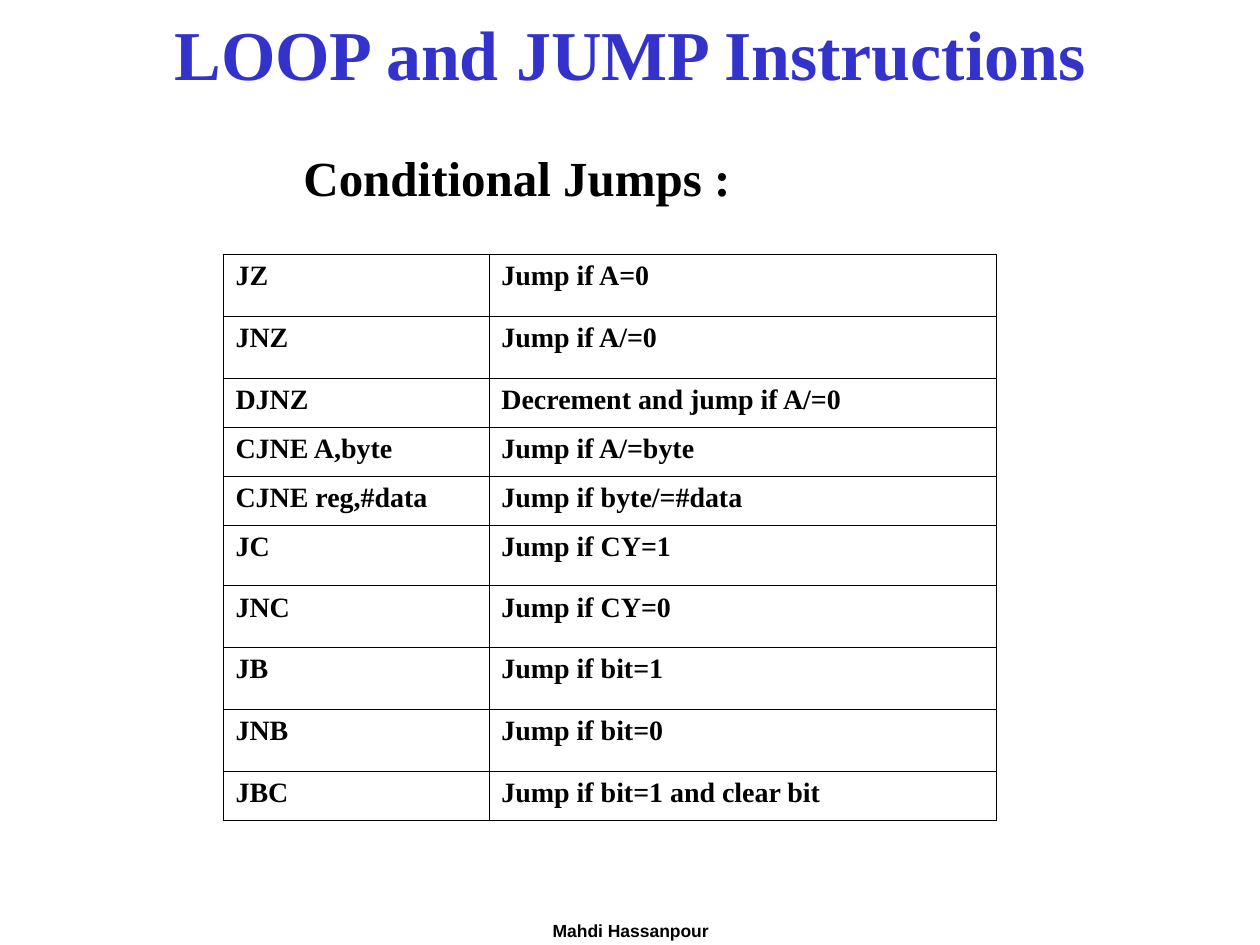
from lxml import etree
from pptx import Presentation
from pptx.dml.color import RGBColor
from pptx.enum.text import MSO_ANCHOR, MSO_AUTO_SIZE, PP_ALIGN
from pptx.oxml.ns import qn
from pptx.util import Inches, Pt

LEFT, CENTER = PP_ALIGN.LEFT, PP_ALIGN.CENTER
TOP, MIDDLE = MSO_ANCHOR.TOP, MSO_ANCHOR.MIDDLE
FIT_SHAPE, NO_FIT = MSO_AUTO_SIZE.SHAPE_TO_FIT_TEXT, MSO_AUTO_SIZE.NONE
BLUE = RGBColor(0x33, 0x33, 0xCC)
BLACK = RGBColor(0, 0, 0)
SERIF, SANS = "Times New Roman", "Arial"
BORDER_WIDTH = Pt(0.45)


def write(frame, text, size, font=SERIF, color=BLACK, align=LEFT):
    paragraph = frame.paragraphs[0]
    paragraph.alignment = align
    run = paragraph.add_run()
    run.text = text
    run.font.name = font
    run.font.size = Pt(size)
    run.font.bold = True
    run.font.color.rgb = color


def add_borders(cell):
    properties = cell._tc.get_or_add_tcPr()
    for position, side in enumerate(("lnL", "lnR", "lnT", "lnB")):
        line = etree.Element(qn(f"a:{side}"), w=str(BORDER_WIDTH))
        fill = etree.SubElement(line, qn("a:solidFill"))
        etree.SubElement(fill, qn("a:srgbClr"), val=str(BLACK))
        properties.insert(position, line)


prs = Presentation()
prs.slide_width, prs.slide_height = Inches(10), Inches(7.5)
slide = prs.slides.add_slide(prs.slide_layouts[5])

# Title
title = slide.shapes.title
title.left, title.top = Inches(0), Inches(0)
title.width, title.height = Inches(10), Inches(0.83)
title.text_frame.vertical_anchor = MIDDLE
title.text_frame.auto_size = NO_FIT
write(title.text_frame, "LOOP and JUMP Instructions", 40, color=BLUE, align=CENTER)

# Table of conditional jumps: instruction, meaning, row height
jumps = [
    ("JZ", "Jump if A=0", 0.49),
    ("JNZ", "Jump if A/=0", 0.49),
    ("DJNZ", "Decrement and jump if A/=0", 0.39),
    ("CJNE A,byte", "Jump if A/=byte", 0.39),
    ("CJNE reg,#data", "Jump if byte/=#data", 0.39),
    ("JC", "Jump if CY=1", 0.48),
    ("JNC", "Jump if CY=0", 0.49),
    ("JB", "Jump if bit=1", 0.49),
    ("JNB", "Jump if bit=0", 0.49),
    ("JBC", "Jump if bit=1 and clear bit", 0.39),
]
jump_table = slide.shapes.add_table(
    len(jumps), 2, Inches(1.77), Inches(2.02), Inches(6.14), Inches(4.51)
).table
jump_table.first_row = False
jump_table.horz_banding = False
for column, width in zip(jump_table.columns, (2.11, 4.03)):
    column.width = Inches(width)

for row, (instruction, meaning, height) in zip(jump_table.rows, jumps):
    row.height = Inches(height)
    for cell, text in zip(row.cells, (instruction, meaning)):
        cell.fill.background()
        cell.vertical_anchor = TOP
        add_borders(cell)
        write(cell.text_frame, text, 16)

# Heading above the table
heading = slide.shapes.add_textbox(Inches(2.31), Inches(1.12), Inches(3.59), Inches(0.57))
heading.text_frame.word_wrap = False
heading.text_frame.auto_size = FIT_SHAPE
write(heading.text_frame, "Conditional Jumps :", 28)

# Author at the foot
author = slide.shapes.add_textbox(Inches(3.42), Inches(7.25), Inches(3.17), Inches(0.25))
author.text_frame.word_wrap = True
write(author.text_frame, "Mahdi Hassanpour", 10, font=SANS, align=CENTER)

prs.save("out.pptx")
